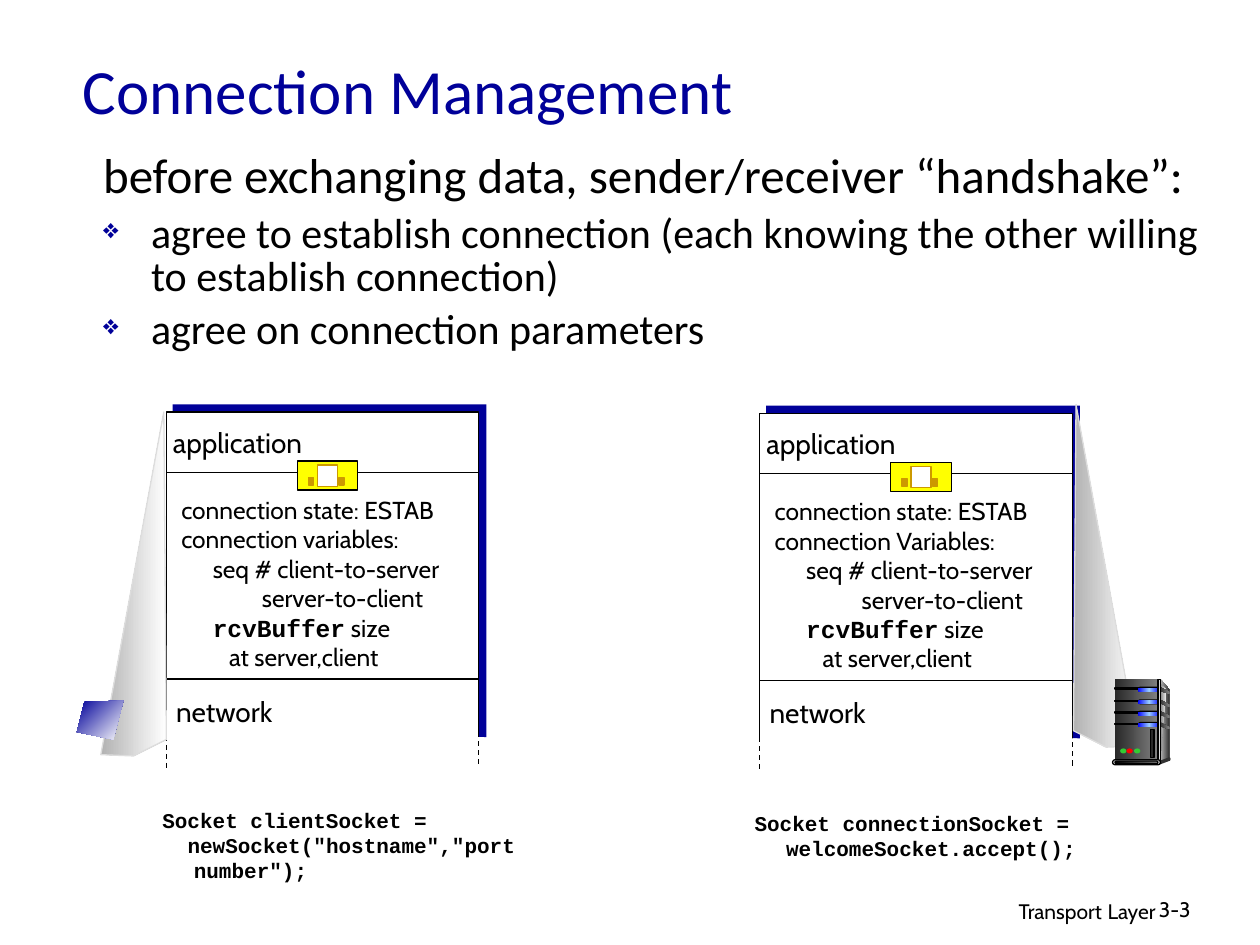
from dataclasses import dataclass
from typing import Optional

from lxml import etree
from pptx import Presentation
from pptx.dml.color import RGBColor
from pptx.enum.dml import MSO_LINE
from pptx.enum.shapes import MSO_CONNECTOR, MSO_SHAPE
from pptx.enum.text import MSO_ANCHOR, PP_ALIGN
from pptx.oxml.ns import qn
from pptx.util import Pt

PX = 9144
RECT, PILL, OVAL = MSO_SHAPE.RECTANGLE, MSO_SHAPE.ROUNDED_RECTANGLE, MSO_SHAPE.OVAL
STRAIGHT, DASH = MSO_CONNECTOR.STRAIGHT, MSO_LINE.DASH
LEFT, CENTER, RIGHT = PP_ALIGN.LEFT, PP_ALIGN.CENTER, PP_ALIGN.RIGHT
MIDDLE, TOP = MSO_ANCHOR.MIDDLE, MSO_ANCHOR.TOP
BLACK, WHITE, NAVY, GOLD = "000000", "FFFFFF", "000099", "CC9900"
DARK_GREY, CHARCOAL, GREY, PALE = "292929", "333333", "808080", "DDDDDD"
SLOT_GREYS = (DARK_GREY, GREY)
BLUE_GLOW = ("0000FF", "99CCFF", "0000FF")
BODY, SANS, MONO = "Calibri", "Cabin", "Courier New"


@dataclass
class Span:
    text: str
    font: Optional[str] = None
    bold: Optional[bool] = None
    size: Optional[int] = None


@dataclass
class Para:
    spans: list
    size: int
    font: str = SANS
    color: str = BLACK
    bold: bool = False
    align: int = LEFT
    margin: int = 0
    indent: int = 0
    before: int = 0
    leading: Optional[float] = None
    bullet: str = ""


@dataclass
class Host:
    x: int
    y: int
    variables: str
    direction_margin: int


def rgb(value: str) -> RGBColor:
    return RGBColor.from_string(value)


def add_bullet(paragraph, char: str) -> None:
    props = paragraph._p.get_or_add_pPr()
    color = etree.SubElement(props, qn("a:buClr"))
    etree.SubElement(color, qn("a:srgbClr"), val=NAVY)
    etree.SubElement(props, qn("a:buSzPct"), val="65000")
    etree.SubElement(props, qn("a:buChar"), char=char)


def write(x: int, y: int, w: int, h: int, paras: list, wrap: bool = True, anchor=TOP) -> None:
    frame = slide.shapes.add_textbox(x * PX, y * PX, w * PX, h * PX).text_frame
    frame.word_wrap = wrap
    frame.vertical_anchor = anchor
    for i, para in enumerate(paras):
        paragraph = frame.add_paragraph() if i else frame.paragraphs[0]
        paragraph.alignment = para.align
        props = paragraph._p.get_or_add_pPr()
        props.set("marL", str(para.margin * PX))
        props.set("indent", str(para.indent * PX))
        if para.leading:
            paragraph.line_spacing = para.leading
        paragraph.space_before = Pt(para.before)
        if para.bullet:
            add_bullet(paragraph, para.bullet)
        font = paragraph.font
        font.name, font.size, font.bold = para.font, Pt(para.size), para.bold
        font.color.rgb = rgb(para.color)
        for span in para.spans:
            run = paragraph.add_run()
            run.text = span.text
            if span.font:
                run.font.name = span.font
            if span.bold is not None:
                run.font.bold = span.bold
            if span.size:
                run.font.size = Pt(span.size)


def paint(shape, fill, line: Optional[str] = None, angle: int = 0) -> None:
    shape.shadow.inherit = False
    if isinstance(fill, str):
        shape.fill.solid()
        shape.fill.fore_color.rgb = rgb(fill)
    else:
        shape.fill.gradient()
        gradient = shape._element.spPr.find(qn("a:gradFill"))
        gradient.find(qn("a:lin")).set("ang", str(angle * 60000))
        stops = gradient.find(qn("a:gsLst"))
        for stop in list(stops):
            stops.remove(stop)
        for i, color in enumerate(fill):
            stop = etree.SubElement(stops, qn("a:gs"), pos=str(100000 * i // (len(fill) - 1)))
            etree.SubElement(stop, qn("a:srgbClr"), val=color)
    if line:
        shape.line.color.rgb = rgb(line)
        shape.line.width = Pt(0.75)
    else:
        shape.line.fill.background()


def block(kind, x: int, y: int, w: int, h: int, fill, line: Optional[str] = None) -> None:
    shape = slide.shapes.add_shape(kind, x * PX, y * PX, w * PX, h * PX)
    if kind == PILL:
        shape.adjustments[0] = 0.5
    paint(shape, fill, line)


def outline(points: list, fill, line: Optional[str] = None, angle: int = 0) -> None:
    builder = slide.shapes.build_freeform(*points[0], scale=PX)
    builder.add_line_segments(points[1:], close=True)
    paint(builder.convert_to_shape(), fill, line, angle)


def rule(x1: int, y1: int, x2: int, y2: int, dashed: bool = False) -> None:
    line = slide.shapes.add_connector(STRAIGHT, x1 * PX, y1 * PX, x2 * PX, y2 * PX)
    line.line.color.rgb = rgb(BLACK)
    line.line.width = Pt(0.75)
    if dashed:
        line.line.dash_style = DASH
    etree.SubElement(line._element.spPr, qn("a:effectLst"))


def draw_host(host: Host) -> None:
    x, y = host.x, host.y
    block(RECT, x + 5, y - 6, 249, 264, NAVY)
    block(RECT, x, y, 248, 270, WHITE, BLACK)
    rule(x, y + 48, x + 248, y + 48)
    write(x + 2, y + 61, 255, 174, [
        Para([Span("connection state: ESTAB")], 14),
        Para([Span(host.variables)], 14),
        Para([Span("seq # client-to-server")], 14, margin=25),
        Para([Span("server-to-client")], 14, margin=host.direction_margin),
        Para([Span("rcvBuffer", MONO, True), Span(" size")], 14, margin=25),
        Para([Span("at server,client")], 14, margin=38),
    ])
    block(RECT, x + 104, y + 39, 48, 23, "FFFF00", BLACK)
    block(RECT, x + 120, y + 42, 16, 17, WHITE, GOLD)
    for foot in (113, 137):
        block(RECT, x + foot, y + 52, 4, 6, GOLD, GOLD)
    write(x - 11, y + 6, 135, 37, [Para([Span("application")], 16, align=CENTER)], wrap=False)
    rule(x, y + 212, x + 248, y + 212)
    write(x - 7, y + 219, 106, 37, [Para([Span("network")], 16, align=CENTER)], wrap=False)
    block(RECT, x - 3, y + 258, 255, 20, WHITE)
    rule(x, y + 257, x, y + 283, dashed=True)
    rule(x + 248, y + 254, x + 248, y + 280, dashed=True)


def draw_server() -> None:
    outline([(921, 539), (928, 547), (928, 601), (919, 604)], (PALE, CHARCOAL))
    block(RECT, 885, 539, 34, 65, SLOT_GREYS)
    outline([(921, 543), (926, 548), (923, 575), (921, 602)], (GREY, "F8F8F8"))
    for y in (545, 555, 564, 573):
        block(RECT, 885, y + 1, 19, 1, BLACK, BLACK)
        block(PILL, 903, y, 19, 4, BLACK)
        block(PILL, 903, y + 1, 18, 3, BLUE_GLOW)
        outline([(920, y), (928, y + 4), (928, y + 6), (920, y + 3)], SLOT_GREYS)
    block(RECT, 919, 539, 2, 65, (CHARCOAL, PALE, CHARCOAL), BLACK)
    block(OVAL, 927, 601, 2, 3, CHARCOAL)
    outline([(920, 604), (920, 607), (928, 604), (928, 601)], CHARCOAL)
    block(PILL, 883, 603, 38, 4, PALE, BLACK)
    block(PILL, 885, 604, 34, 2, (BLACK, GREY), BLACK)
    for x, color in ((889, "33CC33"), (894, "FF0000"), (900, "33CC33")):
        block(OVAL, x, 594, 5, 4, color)
    block(RECT, 913, 579, 3, 22, DARK_GREY, BLACK)


deck = Presentation()
deck.slide_width, deck.slide_height = 1000 * PX, 750 * PX
slide = deck.slides.add_slide(deck.slide_layouts[6])

write(610, 705, 317, 31, [
    Para([Span("Transport"), Span(" ", size=14), Span("Layer")], 12, align=RIGHT)])
write(910, 707, 74, 30, [Para([Span("3-3")], 12)])
write(56, 21, 850, 100, [Para([Span("Connection Management")], 36, BODY, NAVY)], anchor=MIDDLE)
hanging = dict(font=BODY, margin=38, indent=-38, leading=0.85)
agreements = ("agree to establish connection (each knowing the other willing to establish connection)",
              "agree on connection parameters")
write(72, 117, 912, 239, [
    Para([Span("before exchanging data, sender/receiver “handshake”:")], 28, before=7, **hanging),
    *(Para([Span(text)], 24, before=6, bullet="❖", **hanging) for text in agreements)])

CONE = ("B2B2B2", WHITE)
draw_host(Host(132, 327, "connection variables:", 64))
outline([(80, 599), (130, 327), (132, 587), (106, 600)], CONE, PALE)
draw_host(Host(603, 328, "connection Variables:", 69))
outline([(903, 592), (854, 321), (852, 580), (878, 593)], CONE, PALE)

code = dict(size=12, font=MONO, bold=True, margin=25)
write(119, 636, 316, 70, [
    Para([Span("Socket clientSocket =")], indent=-25, **code),
    Para([Span('newSocket("hostname","port number");')], indent=-5, **code)])
write(589, 638, 316, 50, [
    Para([Span("Socket connectionSocket = welcomeSocket.accept();")], indent=-25, **code)])

outline([(98, 556), (67, 557), (61, 581), (90, 587)], (NAVY, WHITE), angle=45)
draw_server()

deck.save("out.pptx")
